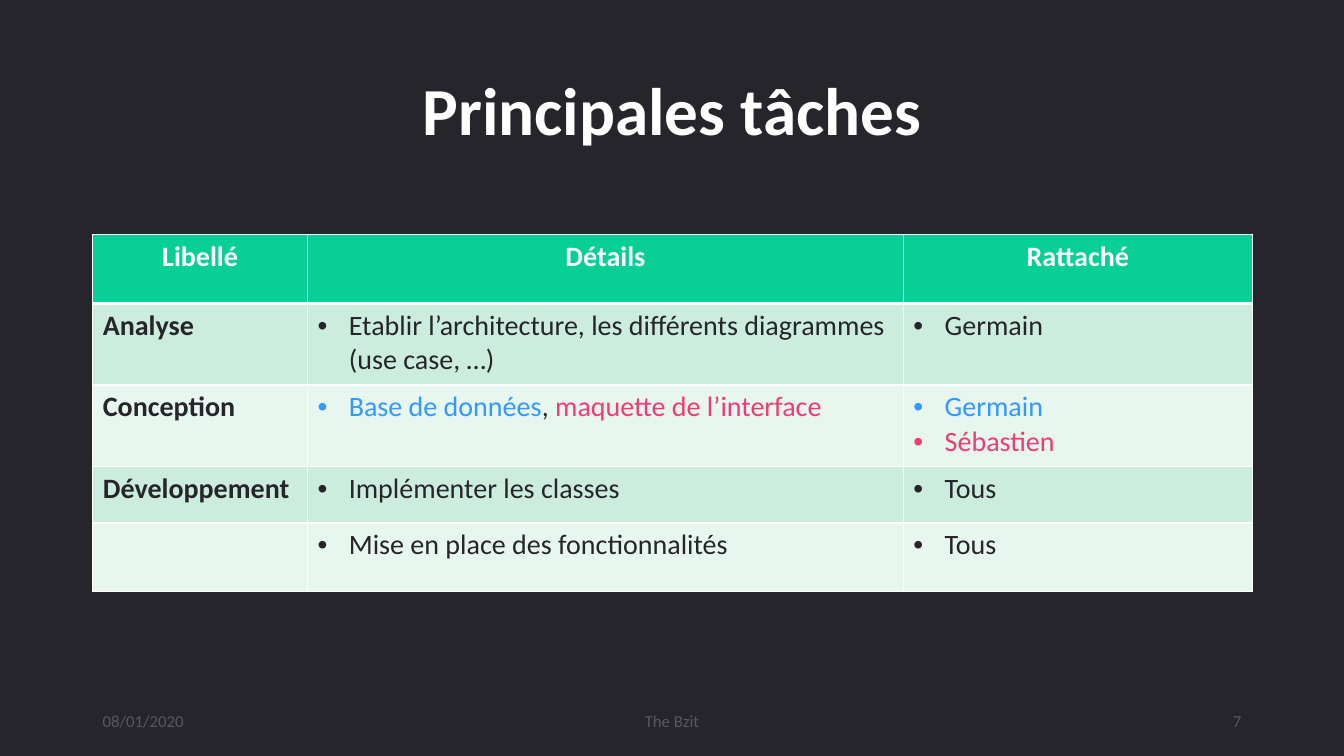
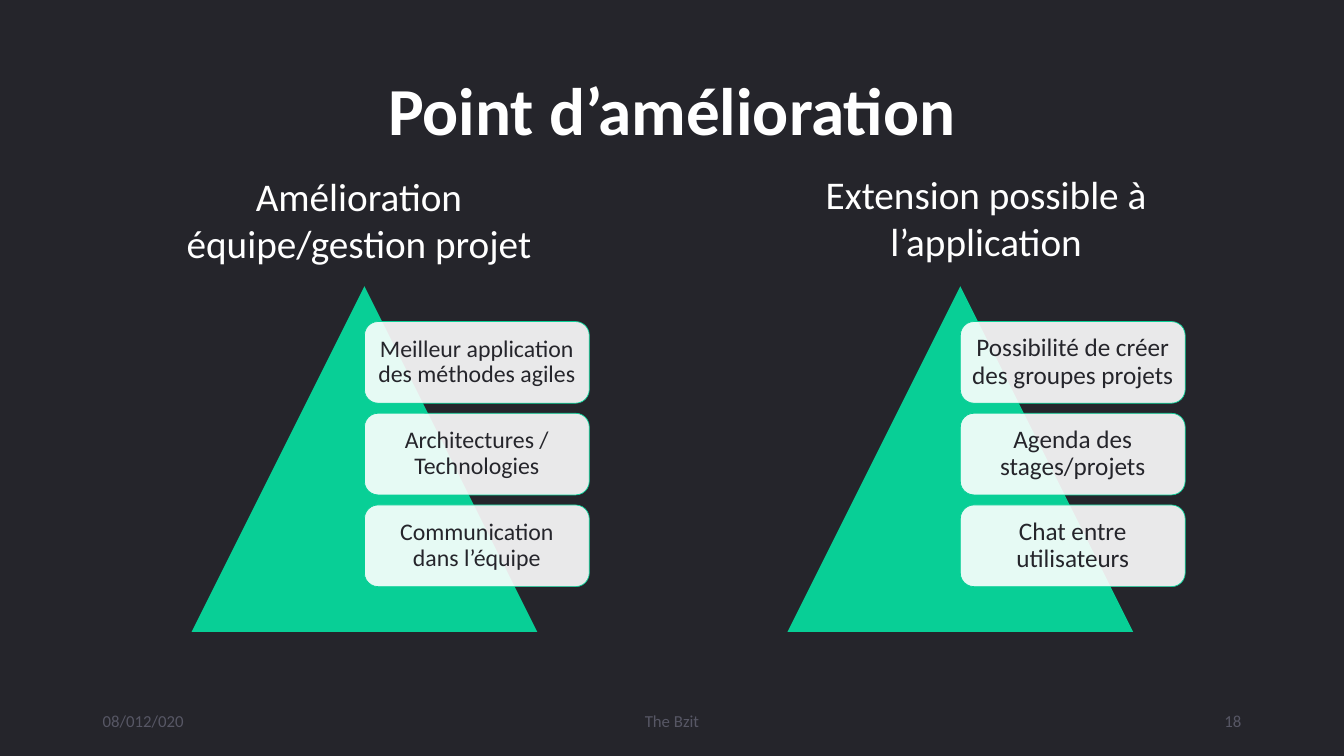
from lxml.etree import SubElement
from pptx import Presentation
from pptx.dml.color import RGBColor
from pptx.enum.shapes import MSO_SHAPE as Preset
from pptx.enum.text import MSO_ANCHOR as Anchor, PP_ALIGN as Align
from pptx.oxml.ns import qn
from pptx.util import Emu, Inches, Pt

FONT = "Calibri"
DARK, WHITE, GREEN, GREY = "25252B", "FFFFFF", "08CF96", "575765"
BLUE, PINK = "3598FE", "EF3C77"
BANDS = "CCEDDD", "E7F6EF"

WIDTH, HEIGHT = 13.33, 7.5
MARGIN = 0.92
CONTENT_WIDTH = WIDTH - 2 * MARGIN
TITLE_TOP, TITLE_HEIGHT = 0.4, 1.45
FOOTER_TOP, FOOTER_HEIGHT = 6.95, 0.4
FOOTER_TEXT = "The Bzit"

TABLE_TOP = 2.33
COLUMN_WIDTHS = 2.13, 5.91, 3.46
ROW_HEIGHTS = 0.68, 0.81, 0.81, 0.56, 0.68
BULLET_INDENT = 0.31

PYRAMID_TOP, PYRAMID_SIZE = 2.84, 3.43
CARD_WIDTH, CARD_HEIGHT, CARD_PITCH = 2.23, 0.81, 0.91
CARD_OFFSET = 0.35
CARD_INSET = 0.07
HEADING_WIDTH, HEADING_HEIGHT = 3.7, 1.04

TABLE_HEADERS = "Libellé", "Détails", "Rattaché"
# Each task: label, then bulleted details and people; a bullet is a list of runs.
TASKS = [
    ("Analyse",
     [[("Etablir l’architecture, les différents diagrammes (use case, …)", DARK)]],
     [[("Germain", DARK)]]),
    ("Conception",
     [[("Base de données", BLUE), (", ", DARK), ("maquette de l’interface", PINK)]],
     [[("Germain", BLUE)], [("Sébastien", PINK)]]),
    ("Développement",
     [[("Implémenter les classes", DARK)]],
     [[("Tous", DARK)]]),
    ("",
     [[("Mise en place des fonctionnalités", DARK)]],
     [[("Tous", DARK)]]),
]


def rgb(color):
    return RGBColor.from_string(color)


def box(*lengths):
    return [Inches(length) for length in lengths]


def add_run(paragraph, text, size, color, bold=False):
    run = paragraph.add_run()
    run.text = text
    font = run.font
    font.name, font.size, font.bold = FONT, Pt(size), bold
    font.color.rgb = rgb(color)


def write_lines(frame, lines, size, align=Align.LEFT, bold=False, spacing=None):
    """Fill a text frame with one paragraph per line, a line being a list of (text, color)."""
    for index, line in enumerate(lines):
        paragraph = frame.add_paragraph() if index else frame.paragraphs[0]
        paragraph.alignment = align
        if spacing:
            paragraph.line_spacing = spacing
        for text, color in line:
            add_run(paragraph, text, size, color, bold)


def add_text(slide, bounds, lines, size, color, align, anchor=Anchor.TOP):
    frame = slide.shapes.add_textbox(*box(*bounds)).text_frame
    frame.word_wrap = True
    frame.vertical_anchor = anchor
    write_lines(frame, [[(line, color)] for line in lines], size, align)


def add_shape(group, preset, bounds, fill, line=None):
    shape = group.shapes.add_shape(preset, *box(*bounds))
    shape.shadow.inherit = False
    shape.fill.solid()
    shape.fill.fore_color.rgb = rgb(fill)
    if line:
        shape.line.color.rgb = rgb(line)
        shape.line.width = Pt(0.5)
    else:
        shape.line.fill.background()
    return shape


def set_opacity(shape, percent):
    color = shape.fill._xPr.find(qn("a:solidFill"))[0]
    SubElement(color, qn("a:alpha"), val=str(percent * 1000))


def add_bullet(paragraph):
    properties = paragraph._p.get_or_add_pPr()
    indent = Inches(BULLET_INDENT)
    properties.set("marL", str(indent))
    properties.set("indent", str(-indent))
    SubElement(properties, qn("a:buFont"), typeface="Arial")
    SubElement(properties, qn("a:buChar"), char="•")


def style_cell(cell, fill, top=1, bottom=1):
    """Set the fill and white borders of a cell; border widths are in points."""
    properties = cell._tc.get_or_add_tcPr()
    for side, points in zip("LRTB", (1, 1, top, bottom)):
        border = SubElement(properties, qn(f"a:ln{side}"), w=str(Pt(points)))
        solid = SubElement(border, qn("a:solidFill"))
        SubElement(solid, qn("a:srgbClr"), val=WHITE)
    cell.fill.solid()
    cell.fill.fore_color.rgb = rgb(fill)


def add_slide(presentation, title, date, number):
    slide = presentation.slides.add_slide(presentation.slide_layouts[5])
    slide.background.fill.solid()
    slide.background.fill.fore_color.rgb = rgb(DARK)

    placeholder = slide.shapes.title
    placeholder.left, placeholder.top, placeholder.width, placeholder.height = box(
        MARGIN, TITLE_TOP, CONTENT_WIDTH, TITLE_HEIGHT)
    placeholder.text_frame.vertical_anchor = Anchor.MIDDLE
    write_lines(placeholder.text_frame, [[(title, WHITE)]], 48, Align.CENTER, True, 0.9)

    side, middle = 3, 4.5
    footers = [
        (MARGIN, side, date, Align.LEFT),
        ((WIDTH - middle) / 2, middle, FOOTER_TEXT, Align.CENTER),
        (WIDTH - MARGIN - side, side, str(number), Align.RIGHT),
    ]
    for left, width, text, align in footers:
        add_text(slide, (left, FOOTER_TOP, width, FOOTER_HEIGHT), [text], 12, GREY,
                 align, Anchor.MIDDLE)
    return slide


def add_task_table(slide):
    bounds = box(MARGIN, TABLE_TOP, CONTENT_WIDTH, sum(ROW_HEIGHTS))
    table = slide.shapes.add_table(len(ROW_HEIGHTS), len(COLUMN_WIDTHS), *bounds).table
    for column, width in zip(table.columns, COLUMN_WIDTHS):
        column.width = Inches(width)
    for row, height in zip(table.rows, ROW_HEIGHTS):
        row.height = Inches(height)

    for column, header in enumerate(TABLE_HEADERS):
        cell = table.cell(0, column)
        style_cell(cell, GREEN, bottom=3)
        write_lines(cell.text_frame, [[(header, WHITE)]], 20, Align.CENTER, True)

    for row, (label, *bullet_lists) in enumerate(TASKS, start=1):
        for column in range(len(COLUMN_WIDTHS)):
            style_cell(table.cell(row, column), BANDS[(row - 1) % 2], top=3 if row == 1 else 1)
        if label:
            write_lines(table.cell(row, 0).text_frame, [[(label, DARK)]], 20, bold=True)
        for column, bullets in enumerate(bullet_lists, start=1):
            frame = table.cell(row, column).text_frame
            write_lines(frame, bullets, 20)
            for paragraph in frame.paragraphs:
                add_bullet(paragraph)


def add_pyramid(slide, left, cards, size):
    """Draw a triangle with a column of cards starting at its vertical axis."""
    group = slide.shapes.add_group_shape()
    add_shape(group, Preset.ISOSCELES_TRIANGLE,
              (left, PYRAMID_TOP, PYRAMID_SIZE, PYRAMID_SIZE), GREEN)
    for index, text in enumerate(cards):
        top = PYRAMID_TOP + CARD_OFFSET + index * CARD_PITCH
        card = add_shape(group, Preset.ROUNDED_RECTANGLE,
                         (left + PYRAMID_SIZE / 2, top, CARD_WIDTH, CARD_HEIGHT), WHITE, GREEN)
        set_opacity(card, 90)
        frame = card.text_frame
        frame.word_wrap = True
        frame.vertical_anchor = Anchor.MIDDLE
        inset = Inches(CARD_INSET)
        frame.margin_left = frame.margin_right = inset
        frame.margin_top = frame.margin_bottom = inset
        write_lines(frame, [[(text, DARK)]], size, Align.CENTER, spacing=0.9)


def add_heading(slide, left, top, lines):
    add_text(slide, (left, top, HEADING_WIDTH, HEADING_HEIGHT), lines, 28, WHITE, Align.CENTER)


def main():
    presentation = Presentation()
    presentation.slide_width, presentation.slide_height = box(WIDTH, HEIGHT)

    tasks = add_slide(presentation, "Principales tâches", "08/01/2020", 7)
    add_task_table(tasks)

    improvements = add_slide(presentation, "Point d’amélioration", "08/012/020", 18)
    add_pyramid(improvements, 1.9, [
        "Meilleur application des méthodes agiles",
        "Architectures / Technologies",
        "Communication dans l’équipe",
    ], 17)
    add_pyramid(improvements, 7.81, [
        "Possibilité de créer des groupes projets",
        "Agenda des stages/projets",
        "Chat entre utilisateurs",
    ], 18)
    add_heading(improvements, 1.71, 1.66, ["Amélioration", "équipe/gestion projet"])
    add_heading(improvements, 7.93, 1.64, ["Extension possible à l’application"])

    presentation.save("out.pptx")


if __name__ == "__main__":
    main()
